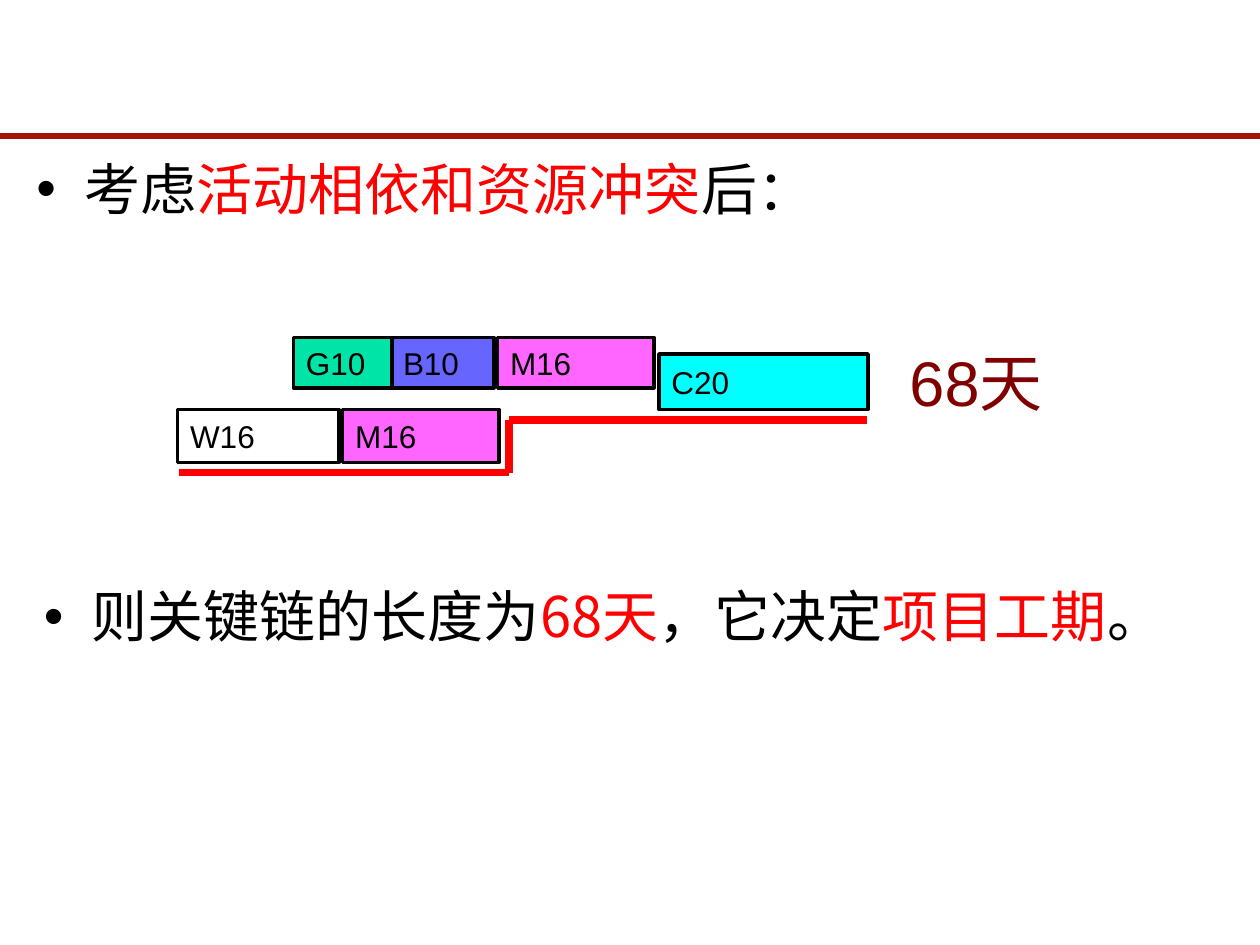
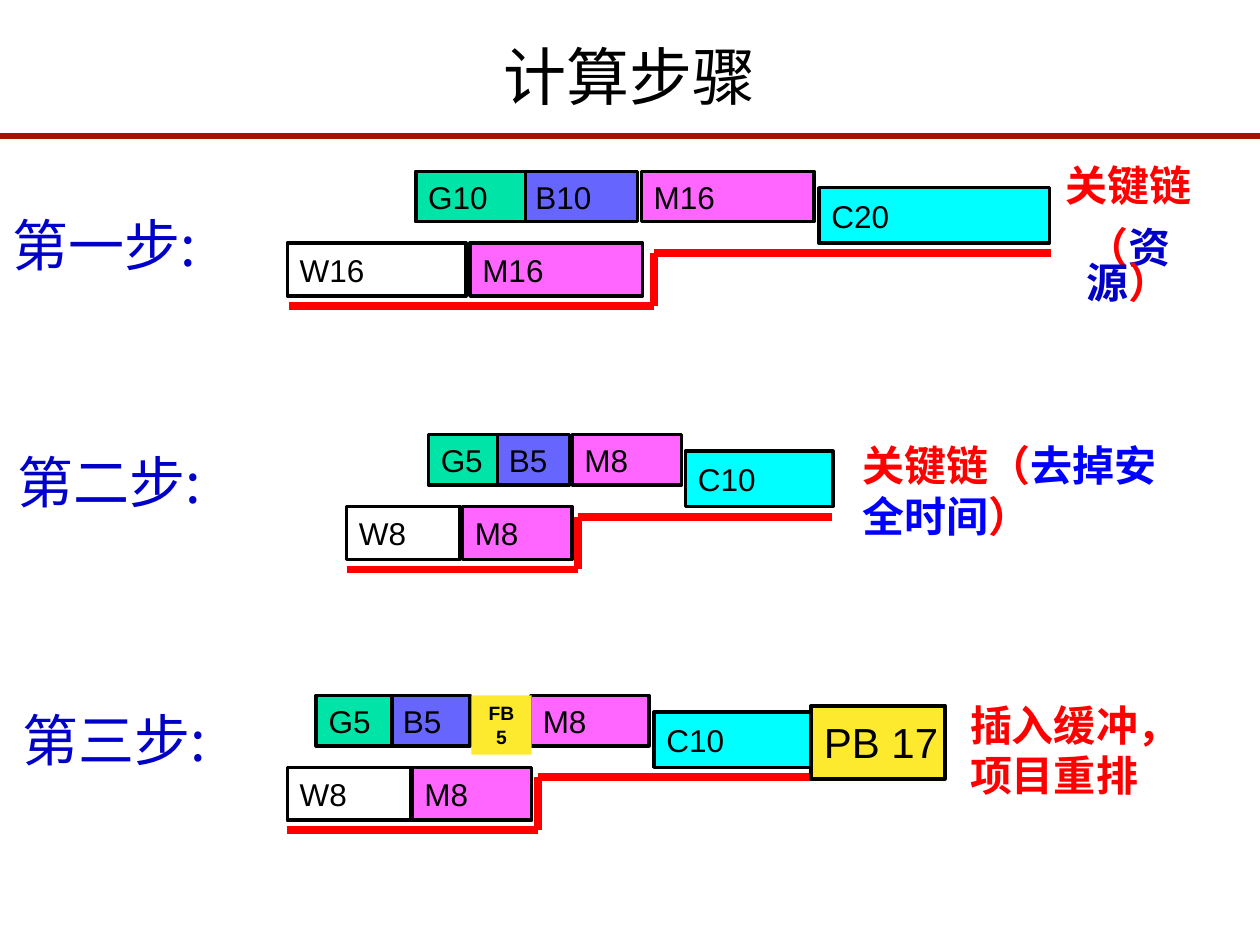
import itertools

import pptx
import pptx.dml.color
import pptx.enum.shapes
import pptx.enum.text
import pptx.oxml
import pptx.oxml.ns
import pptx.util
from lxml import etree

Inches = pptx.util.Inches
Pt = pptx.util.Pt
ALIGN = pptx.enum.text.PP_ALIGN
ANCHOR = pptx.enum.text.MSO_ANCHOR

COLORS = {
    "band": "A31203", "black": "000000", "red": "FF0000", "maroon": "800000",
    "navy": "0000C8", "blue": "0000FF", "white": "FFFFFF", "green": "00E4A8",
    "violet": "6666FF", "pink": "FF66FF", "cyan": "00FFFF", "yellow": "FDE92D",
}
CJK_FONT = "Noto Sans CJK SC"
TASK_COLORS = {"W": "white", "G": "green", "B": "violet", "M": "pink", "C": "cyan"}
ROWS = {"upper": (0, 0.4), "final": (0.13, 0.44), "lower": (0.57, 0.42)}
CHAIN_LOW, CHAIN_HIGH = 1.07, 0.65

BULLETS = [
    ((0.19, 1.18, 9.65, 0.76),
     [("考虑", "black"), ("活动相依和资源冲突", "red"), ("后：", "black")]),
    ((0.25, 4.57, 9.5, 0.83),
     [("则关键链的长度为", "black"), ("68天", "red"), ("，它决定", "black"),
      ("项目工期", "red"), ("。", "black")]),
]
DURATION = ((7.12, 2.68, 1.47, 0.7), "68天")

RESOURCE_SCHEDULE = {
    "top": 2.68,
    "upper": [("B10", 3.1, 0.82), ("M16", 3.95, 1.24), ("G10", 2.33, 0.78)],
    "lower": [("W16", 1.41, 1.28), ("M16", 2.72, 1.24)],
    "final": [("C20", 5.23, 1.66)],
    "chain": (1.42, 4.04, 6.88),
}

TITLE = "计算步骤"
STEPS = [
    {"label": "第一步:", "label_at": (0, 1.62), "top": 1.36,
     "upper": [("B10", 4.15, 0.91), ("M16", 5.09, 1.37), ("G10", 3.3, 0.87)],
     "lower": [("W16", 2.28, 1.42), ("M16", 3.73, 1.37)],
     "final": [("C20", 6.5, 1.83)],
     "chain": (2.29, 5.19, 8.34),
     "note_at": (8.28, 1.33, 1.36, 1.15),
     "note": [[("关键链", "red")], [("（", "red"), ("资源", "navy"), ("）", "red")]],
     "note_format": {"align": ALIGN.CENTER, "line_spacing": 0.7, "space_before": 15}},
    {"label": "第二步:", "label_at": (0.04, 3.5), "top": 3.45,
     "upper": [("B5", 3.94, 0.58), ("M8", 4.54, 0.87), ("G5", 3.4, 0.55)],
     "lower": [("W8", 2.75, 0.9), ("M8", 3.67, 0.87)],
     "final": [("C10", 5.44, 1.17)],
     "chain": (2.75, 4.59, 6.6),
     "note_at": (6.75, 3.44, 2.58, 0.9),
     "note": [[("关键链（", "red"), ("去掉安全时间", "blue"), ("）", "red")]],
     "note_format": {}},
    {"label": "第三步:", "label_at": (0.08, 5.55), "top": 5.52,
     "upper": [("B5", 3.1, 0.63), ("M8", 4.21, 0.94), ("G5", 2.51, 0.6)],
     "lower": [("W8", 2.28, 0.98), ("M8", 3.27, 0.95)],
     "final": [("C10", 5.19, 1.26)],
     "chain": (2.28, 4.27, 6.44),
     "note_at": (7.6, 5.5, 1.89, 0.9),
     "note": [[("插入缓冲，项目重排", "red")]],
     "note_format": {}},
]
FEEDING_BUFFER = ("FB5", (3.74, 5.52, 0.48, 0.47))
PROJECT_BUFFER = ("PB 17", (6.44, 5.6, 1.06, 0.58))


def rgb(name):
    return pptx.dml.color.RGBColor.from_string(COLORS[name])


def add_bullet(para):
    properties = para._p.get_or_add_pPr()
    properties.set("marL", str(Inches(0.38)))
    properties.set("indent", str(-Inches(0.38)))
    for tag, child, attribute, value in [
        ("buClr", "srgbClr", "val", COLORS["black"]),
        ("buFont", None, "typeface", "Arial"),
        ("buChar", None, "char", "•"),
    ]:
        element = etree.SubElement(properties, pptx.oxml.ns.qn("a:" + tag))
        if child:
            element = etree.SubElement(element, pptx.oxml.ns.qn("a:" + child))
        element.set(attribute, value)


def write(box, text, size=18, font="Arial", color="black", bold=False, align=ALIGN.LEFT,
          anchor=ANCHOR.TOP, wrap=True, bullet=False, line_spacing=None, space_before=0):
    frame = box.text_frame
    frame.word_wrap = wrap
    frame.vertical_anchor = anchor
    paragraphs = [[(text, color)]] if isinstance(text, str) else text
    for index, spans in enumerate(paragraphs):
        para = frame.add_paragraph() if index else frame.paragraphs[0]
        para.alignment = align
        if line_spacing:
            para.line_spacing = line_spacing
        if index:
            para.space_before = Pt(space_before)
        if bullet:
            add_bullet(para)
        for words, span_color in spans:
            span = para.add_run()
            span.text = words
            span.font.size = Pt(size)
            span.font.bold = bold
            span.font.name = font
            span.font.color.rgb = rgb(span_color)
            east_asian = etree.SubElement(span._r.get_or_add_rPr(), pptx.oxml.ns.qn("a:ea"))
            east_asian.set("typeface", CJK_FONT)


def add_text(page, at, text, **text_format):
    write(page.shapes.add_textbox(*map(Inches, at)), text, **text_format)


def add_bar(page, at, text, fill, line_width=2, **text_format):
    bar = page.shapes.add_shape(pptx.enum.shapes.MSO_SHAPE.RECTANGLE, *map(Inches, at))
    bar.shadow.inherit = False
    bar.fill.solid()
    bar.fill.fore_color.rgb = rgb(fill)
    if line_width:
        bar.line.color.rgb = rgb("black")
        bar.line.width = Pt(line_width)
    else:
        bar.line.fill.background()
    write(bar, text, **text_format)


def add_line(page, start, end, color, width):
    line = page.shapes.add_connector(
        pptx.enum.shapes.MSO_CONNECTOR.STRAIGHT, *map(Inches, start + end))
    line.line.color.rgb = rgb(color)
    line.line.width = Pt(width)
    etree.SubElement(line._element.spPr, pptx.oxml.ns.qn("a:effectLst"))


def add_schedule(page, schedule):
    top = schedule["top"]
    for row, (offset, height) in ROWS.items():
        for task, left, width in schedule[row]:
            add_bar(page, (left, top + offset, width, height), task,
                    TASK_COLORS[task[0]], anchor=ANCHOR.MIDDLE, wrap=False)
    start, step, end = schedule["chain"]
    low, high = top + CHAIN_LOW, top + CHAIN_HIGH
    corners = [(start, low), (step, low), (step, high), (end, high)]
    for first, second in itertools.pairwise(corners):
        add_line(page, first, second, "red", 4.5)


def add_page(deck):
    page = deck.slides.add_slide(deck.slide_layouts[6])
    add_line(page, (0, 1.08), (10, 1.08), "band", 3)
    return page


def build_chain_length(deck):
    page = add_page(deck)
    for at, spans in BULLETS:
        add_text(page, at, [spans], size=32, font=CJK_FONT, align=ALIGN.JUSTIFY, bullet=True)
    add_text(page, *DURATION, size=36, color="maroon")
    add_schedule(page, RESOURCE_SCHEDULE)


def build_steps(deck):
    page = add_page(deck)
    add_text(page, (0.75, 0.25, 8.5, 0.9), TITLE, size=36, font="Karla", align=ALIGN.CENTER)
    for step in STEPS:
        add_text(page, step["label_at"] + (1.93, 0.64), step["label"],
                 size=32, font=CJK_FONT, color="navy")
        add_schedule(page, step)
        add_text(page, step["note_at"], step["note"], size=24, bold=True, **step["note_format"])
    label, at = FEEDING_BUFFER
    add_bar(page, at, label, "yellow", line_width=0, size=11, bold=True, align=ALIGN.CENTER)
    label, at = PROJECT_BUFFER
    add_bar(page, at, label, "yellow", line_width=2.25, size=24,
            anchor=ANCHOR.MIDDLE, wrap=False)


def main():
    deck = pptx.Presentation()
    deck.slide_width, deck.slide_height = Inches(10), Inches(7.5)
    build_chain_length(deck)
    build_steps(deck)
    deck.save("out.pptx")


if __name__ == "__main__":
    main()
